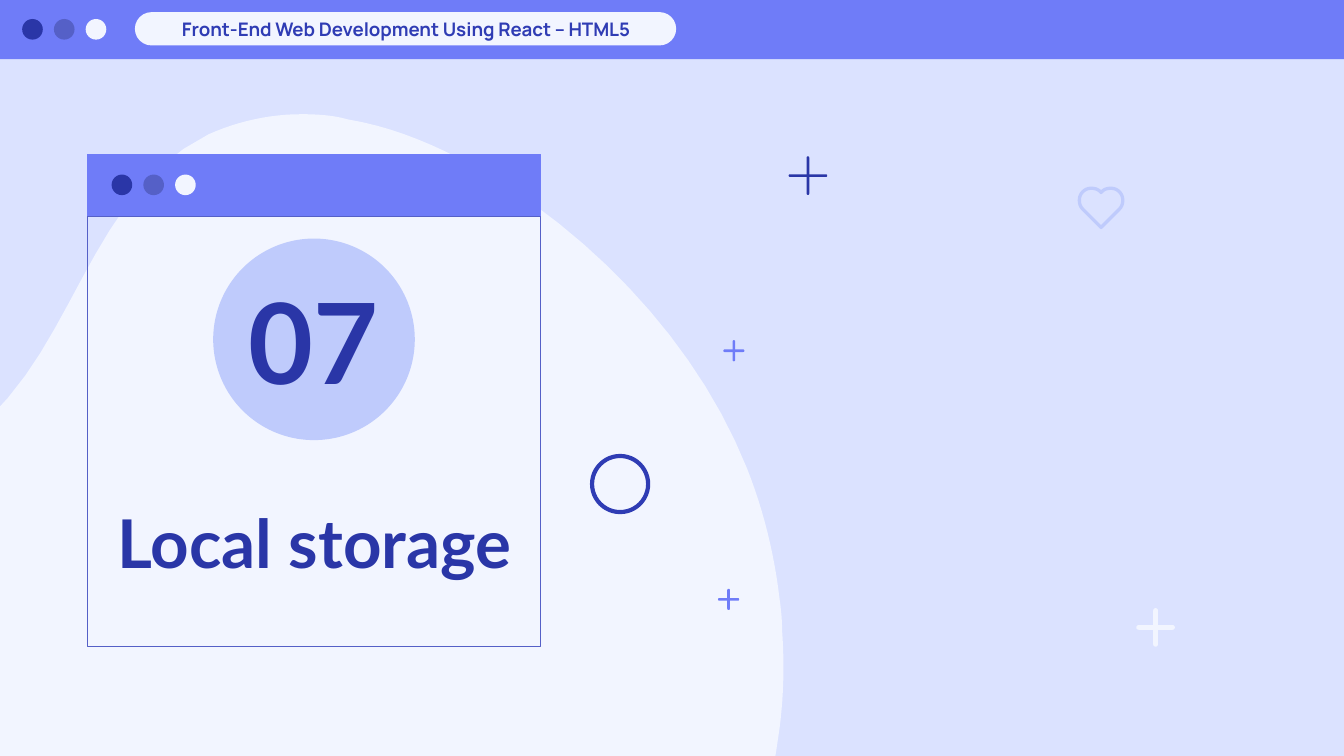
from lxml import etree
from pptx import Presentation
from pptx import util as u
from pptx.dml.color import RGBColor
from pptx.enum import shapes, text

Cm = u.Cm
NAVY = RGBColor(0x2A, 0x36, 0xA7)
INK = RGBColor(0x2F, 0x3C, 0xB4)
INDIGO = RGBColor(0x55, 0x60, 0xC7)
BLUE = RGBColor(0x6F, 0x7C, 0xF8)
SKY = RGBColor(0xBF, 0xCB, 0xFC)
MIST = RGBColor(0xDB, 0xE2, 0xFF)
PALE = RGBColor(0xF2, 0xF5, 0xFF)

RECT = shapes.MSO_SHAPE.RECTANGLE
OVAL = shapes.MSO_SHAPE.OVAL
PILL = shapes.MSO_SHAPE.ROUNDED_RECTANGLE

BLOB = [
    (5.69, 2.16),
    (5.11, 2.16), (4.5, 2.29), (3.94, 2.54),
    (1.93, 3.53), (1.52, 5.92), (0.15, 7.52),
    (-0.38, 8.13), (-1.07, 8.61), (-1.75, 9.1),
    (-2.9, 9.93), (-3.96, 10.95), (-4.47, 12.29),
    (-4.93, 13.49), (-4.98, 14.88), (-4.67, 16.13),
    (-3.91, 19.38), (-0.76, 21.69), (2.36, 22.4),
    (3.1, 22.56), (3.84, 22.66), (4.57, 22.66),
    (8.2, 22.66), (11.76, 20.65), (13.56, 17.42),
    (14.15, 16.33), (14.55, 15.14), (14.71, 13.92),
    (14.81, 13.26), (14.83, 12.57), (14.78, 11.91),
    (14.78, 11.71), (14.76, 11.51), (14.73, 11.3),
    (14.63, 10.46), (14.43, 9.65), (14.12, 8.86),
    (13.26, 6.71), (11.58, 4.83), (9.6, 3.53),
    (8.69, 2.95), (7.67, 2.44), (6.58, 2.26),
    (6.3, 2.18), (6.02, 2.16), (5.69, 2.16),
]
HEART_AXIS = 20.81
HEART_HALF = [
    (20.81, 3.64),
    (20.76, 3.58), (20.7, 3.56), (20.62, 3.56),
    (20.5, 3.56), (20.4, 3.66), (20.4, 3.78),
    (20.4, 3.86), (20.42, 3.91), (20.47, 3.96),
    (20.47, 3.96), (20.81, 4.3), (20.81, 4.3),
]
DOT_COLOURS = [NAVY, INDIGO, PALE]
DOT_ROWS = [(0.42, 0.36), (2.11, 3.3)]
PLUSES = [
    (21.84, 11.86, 0.73, 0.09, PALE),
    (13.87, 6.63, 0.4, 0.05, BLUE),
    (15.27, 3.32, 0.73, 0.05, NAVY),
    (13.77, 11.33, 0.4, 0.05, BLUE),
]
TEXTS = [
    ("Local storage", (1.55, 9.47, 8.79, 1.47), "Lato", 36, NAVY, text.MSO_ANCHOR.TOP),
    ("07", (4.22, 5.16, 3.4, 2.54), "Lato", 60, NAVY, text.MSO_ANCHOR.TOP),
    ("Front-End Web Development Using React – HTML5", (2.87, 0.23, 9.6, 0.64),
     "Manrope", 10, INK, text.MSO_ANCHOR.MIDDLE),
]

prs = Presentation()
prs.slide_width, prs.slide_height = Cm(25.4), Cm(14.29)
s = prs.slides.add_slide(prs.slide_layouts[6])
s.background.fill.solid()
s.background.fill.fore_color.rgb = MIST


def style(sp, fill=None, line=None, width=0.75):
    sp.shadow.inherit = False
    if fill is None:
        sp.fill.background()
    else:
        sp.fill.solid()
        sp.fill.fore_color.rgb = fill
    if line is None:
        sp.line.fill.background()
    else:
        sp.line.color.rgb = line
        sp.line.width = u.Pt(width)
    return sp


def add(kind, box, **look):
    return style(s.shapes.add_shape(kind, *map(Cm, box)), **look)


def pill(box, fill):
    add(PILL, box, fill=fill).adjustments[0] = 0.5


def curve(points, steps=12):
    out = [points[0]]
    for i in range(0, len(points) - 1, 3):
        a, b, c, d = points[i:i + 4]
        for t in (k / steps for k in range(1, steps + 1)):
            v = 1 - t
            out.append(tuple(v**3 * a[n] + 3 * v * v * t * b[n] + 3 * v * t * t * c[n] + t**3 * d[n]
                             for n in (0, 1)))
    return [(Cm(x), Cm(y)) for x, y in out]


def outline(points, **look):
    start, *rest = curve(points)
    b = s.shapes.build_freeform(*start)
    b.add_line_segments(rest, close=True)
    return style(b.convert_to_shape(), **look)


outline(BLOB, fill=PALE)
add(RECT, (-0.05, -0.05, 25.5, 1.17), fill=BLUE)
pill((2.55, 0.23, 10.23, 0.63), PALE)
add(RECT, (1.65, 2.92, 8.57, 1.17), fill=BLUE, line=BLUE)
for left, top in DOT_ROWS:
    for i, colour in enumerate(DOT_COLOURS):
        add(OVAL, (left + 0.6 * i, top, 0.39, 0.39), fill=colour)
add(RECT, (1.65, 4.09, 8.57, 8.13), line=INDIGO)
add(OVAL, (4.03, 4.51, 3.81, 3.81), fill=SKY)

for x, y, size, thick, colour in PLUSES:
    for w, h in ((thick, size), (size, thick)):
        pill((x - w / 2, y - h / 2, w, h), colour)
mirrored = [(2 * HEART_AXIS - x, y) for x, y in reversed(HEART_HALF)]
heart = outline(HEART_HALF + mirrored[1:], line=SKY, width=1.75)
etree.SubElement(heart.line._get_or_add_ln(), heart.line._ln.tag.replace("}ln", "}round"))
add(OVAL, (11.19, 8.62, 1.06, 1.06), line=INK, width=2.25)

for words, box, font, size, colour, anchor in TEXTS:
    tf = s.shapes.add_textbox(*map(Cm, box)).text_frame
    tf.word_wrap = True
    tf.vertical_anchor = anchor
    tf.margin_top = tf.margin_bottom = 0
    p = tf.paragraphs[0]
    p.text = words
    p.alignment = text.PP_ALIGN.CENTER
    p.font.name, p.font.size, p.font.bold = font, u.Pt(size), True
    p.font.color.rgb = colour

prs.save("out.pptx")
